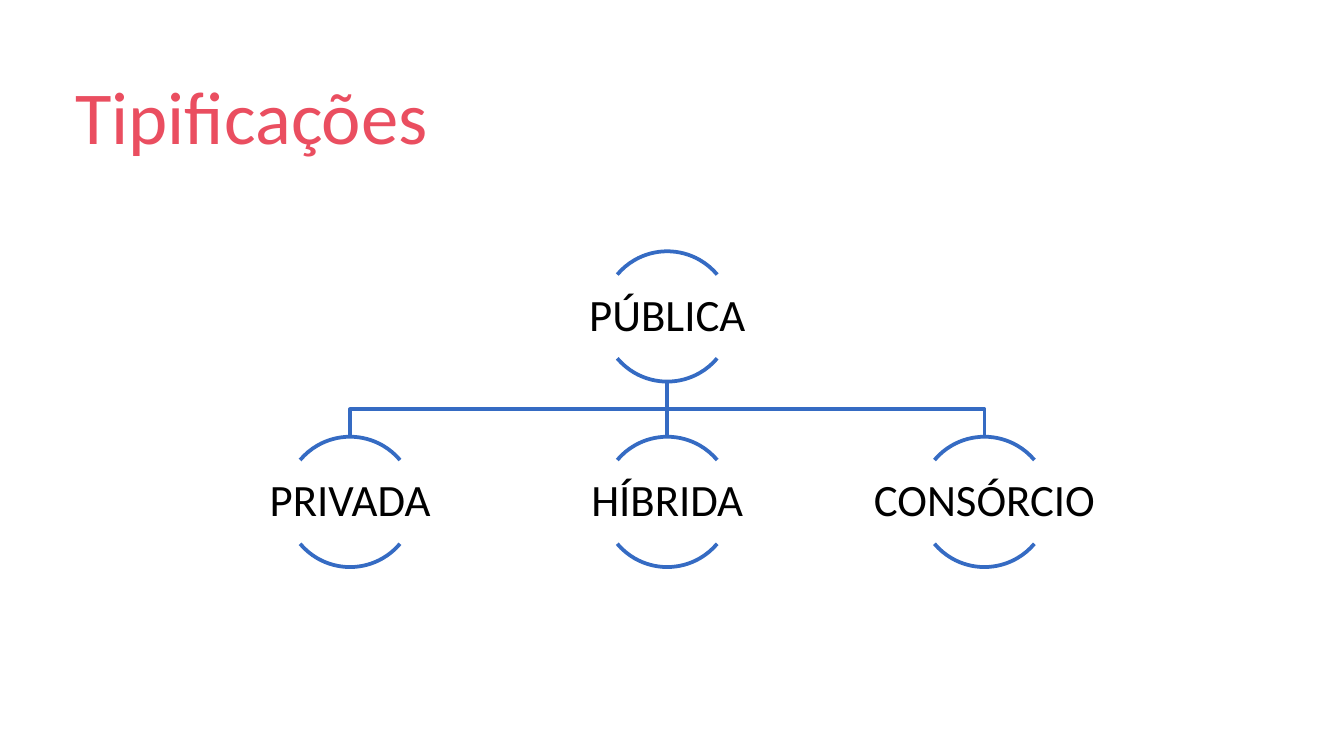
"""Build a slide with a title and a hierarchy of four types."""
from dataclasses import dataclass

from lxml.etree import SubElement
from pptx import Presentation
from pptx.dml.color import RGBColor
from pptx.enum.shapes import MSO_CONNECTOR as CONN, MSO_SHAPE as SHAPE
from pptx.enum.text import MSO_ANCHOR as ANCHOR, MSO_AUTO_SIZE as AUTO, PP_ALIGN as ALIGN
from pptx.oxml.ns import qn
from pptx.util import Inches, Pt

COLORS = {"title": "EA4E60", "line": "356BC3", "text": "000000"}
DIAMETER = 0.97
LABEL_W, LABEL_H = 1.95, 0.62
ROOT_LEFT, STEP = 4.48, 2.36
ROOT_TOP, CHILD_TOP = 1.87, 3.25
ARCS = ((132, 192), (24, 84))


@dataclass
class Node:
    label: str
    left: float
    top: float

    @property
    def x(self) -> float:
        return self.left + DIAMETER / 2

    @property
    def bottom(self) -> float:
        return self.top + DIAMETER


def write(tf, text: str, *, size: float, color: str, align=ALIGN.LEFT,
          anchor=ANCHOR.TOP, wrap: bool = True, margin: float | None = None,
          spacing: float = 1.0, auto=AUTO.NONE) -> None:
    tf.word_wrap, tf.auto_size, tf.vertical_anchor = wrap, auto, anchor
    if margin is not None:
        tf.margin_left = tf.margin_right = Inches(margin)
        tf.margin_top = tf.margin_bottom = Inches(margin)
    p = tf.paragraphs[0]
    p.alignment, p.line_spacing = align, spacing
    r = p.add_run()
    r.text = text
    r.font.name, r.font.size = "Calibri", Pt(size)
    r.font.color.rgb = RGBColor.from_string(COLORS[color])


def style_line(sp) -> None:
    sp.line.color.rgb = RGBColor.from_string(COLORS["line"])
    sp.line.width = Pt(2)


def style_outline(sp) -> None:
    sp.shadow.inherit = False
    sp.fill.background()
    style_line(sp)


def draw_link(shapes, parent: Node, child: Node) -> None:
    x1, y1, x2, y2 = map(Inches, (parent.x, parent.bottom, child.x, child.top))
    if x1 == x2:
        sp = shapes.add_connector(CONN.STRAIGHT, x1, y1, x2, y2)
        SubElement(sp._element.spPr, qn("a:effectLst"))
        style_line(sp)
        return
    mid = (y1 + y2) // 2
    fb = shapes.build_freeform(x1, y1)
    fb.add_line_segments([(x1, mid), (x2, mid), (x2, y2)], close=False)
    style_outline(fb.convert_to_shape())


def draw_node(shapes, node: Node) -> None:
    for angles in ARCS:
        sp = shapes.add_shape(SHAPE.ARC, Inches(node.left), Inches(node.top),
                              Inches(DIAMETER), Inches(DIAMETER))
        sp.adjustments[0], sp.adjustments[1] = angles
        style_outline(sp)
    top = node.top + (DIAMETER - LABEL_H) / 2
    box = shapes.add_textbox(Inches(node.x - LABEL_W / 2), Inches(top),
                             Inches(LABEL_W), Inches(LABEL_H))
    write(box.text_frame, node.label, size=24, color="text", align=ALIGN.CENTER,
          anchor=ANCHOR.MIDDLE, margin=0.02, spacing=0.9)


def main() -> None:
    prs = Presentation()
    prs.slide_width = Inches(10)
    prs.slide_height = prs.slide_width * 9 // 16
    shapes = prs.slides.add_slide(prs.slide_layouts[5]).shapes

    title = shapes.title
    title.left, title.top = Inches(0.46), Inches(0.47)
    title.width, title.height = Inches(2.86), Inches(0.77)
    write(title.text_frame, "Tipificações", size=40, color="title", wrap=False,
          auto=AUTO.SHAPE_TO_FIT_TEXT)

    root = Node("PÚBLICA", ROOT_LEFT, ROOT_TOP)
    children = [Node(label, ROOT_LEFT + i * STEP, CHILD_TOP)
                for i, label in enumerate(("PRIVADA", "HÍBRIDA", "CONSÓRCIO"), -1)]
    for child in reversed(children):
        draw_link(shapes, root, child)
    for node in (root, *children):
        draw_node(shapes, node)

    prs.save("out.pptx")


if __name__ == "__main__":
    main()
